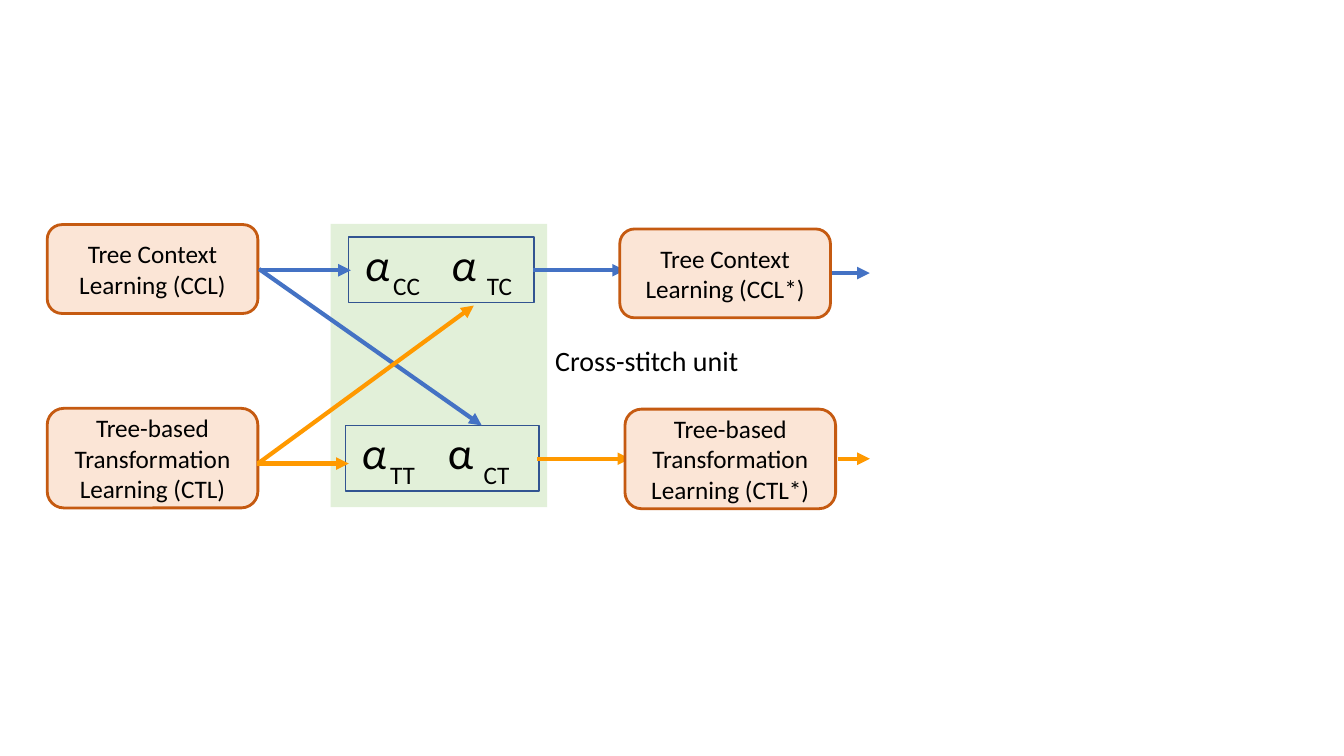
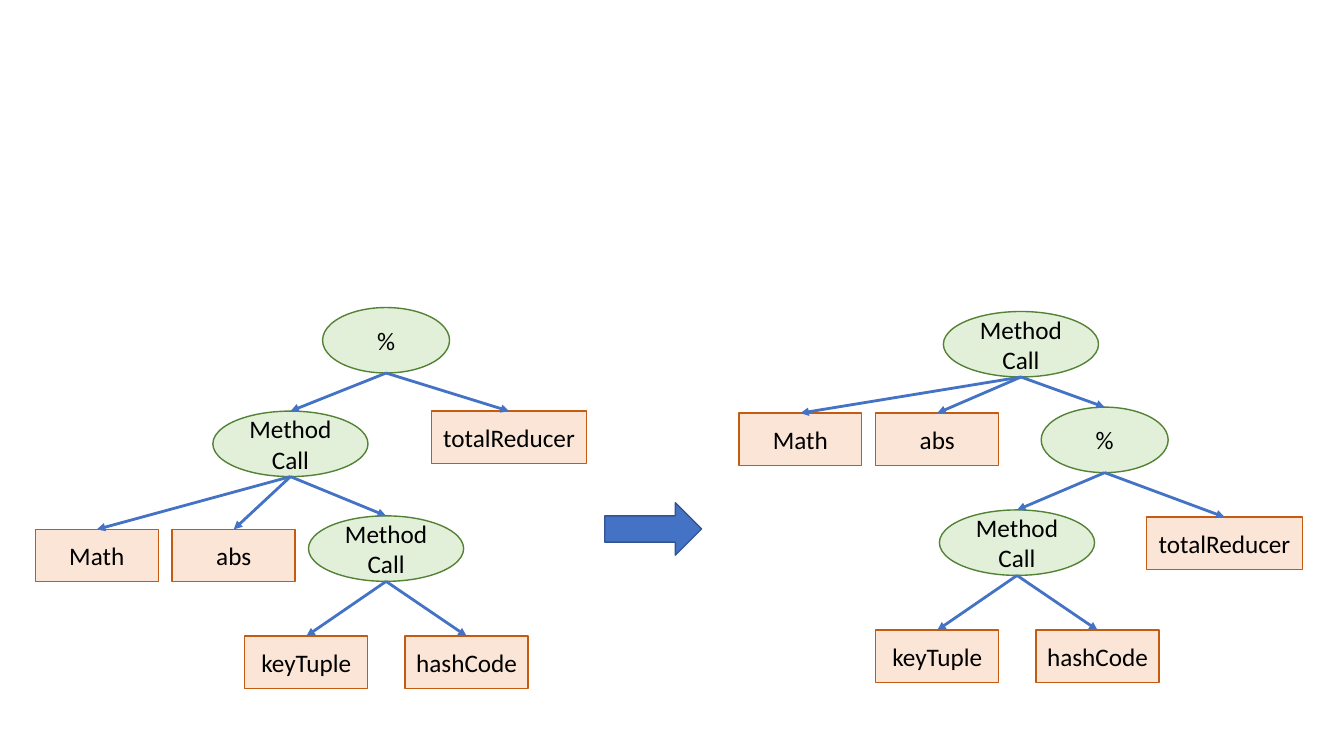
"""Build two slides: a cross-stitch unit and a syntax tree transformation."""
from lxml import etree
from pptx import Presentation
from pptx.dml.color import RGBColor
from pptx.enum import shapes, text
from pptx.oxml.ns import qn
from pptx.util import Cm, Pt

FONT = "Calibri"
COLORS = {"ink": "000000", "peach": "FBE5D6", "rust": "C55A11", "mint": "E2F0D9",
          "green": "548235", "blue": "4472C4", "navy": "325491", "orange": "FF9900"}
SHAPE = shapes.MSO_SHAPE

INPUTS = [("Tree Context Learning (CCL)", 1.19, 5.66, 2.24),
          ("Tree-based Transformation Learning (CTL)", 1.19, 10.29, 2.51)]
OUTPUTS = [("Tree Context Learning (CCL*)", 15.62, 5.77, 2.24),
           ("Tree-based Transformation Learning (CTL*)", 15.75, 10.31, 2.51)]
TASK_WIDTH = 5.31
UNIT = (8.33, 5.64, 5.46, 7.14)
WEIGHT_ROWS = [((8.79, 5.97, 4.67, 1.65), ("CC", "TC"), (True, True)),
               ((8.71, 10.72, 4.88, 1.65), ("TT", "CT"), (True, False))]
SUBSCRIPT_OFFSETS = (0.87, 3.23)
FLOWS = [("blue", 6.53, 6.81, 8.84, 6.81), ("blue", 6.53, 6.78, 12.14, 10.72),
         ("orange", 6.48, 11.68, 8.79, 11.68), ("orange", 6.5, 11.68, 11.94, 7.7),
         ("blue", 13.44, 6.81, 15.75, 6.81), ("orange", 13.54, 11.56, 15.88, 11.56),
         ("blue", 20.93, 6.88, 21.92, 6.88), ("orange", 21.11, 11.56, 21.92, 11.56)]

NODE_STYLES = {"operator": (SHAPE.OVAL, 3.2, 1.65, "mint", "green"),
               "call": (SHAPE.OVAL, 3.91, 1.65, "mint", "green"),
               "leaf": (SHAPE.RECTANGLE, 3.1, 1.32, "peach", "rust"),
               "wide leaf": (SHAPE.RECTANGLE, 3.92, 1.32, "peach", "rust")}
# Each node: style, label, centre x, top, index of parent
TREES = [
    [("operator", "%", 9.73, 7.75, None),
     ("call", "Method Call", 7.32, 10.36, 0),
     ("call", "Method Call", 9.73, 13, 1),
     ("leaf", "Math", 2.44, 13.34, 1),
     ("leaf", "abs", 5.89, 13.34, 1),
     ("leaf", "keyTuple", 7.72, 16.03, 2),
     ("leaf", "hashCode", 11.76, 16.03, 2),
     ("wide leaf", "totalReducer", 12.83, 10.36, 0)],
    [("call", "Method Call", 25.73, 7.85, None),
     ("operator", "%", 27.84, 10.26, 0),
     ("call", "Method Call", 25.63, 12.85, 1),
     ("leaf", "Math", 20.17, 10.41, 0),
     ("leaf", "abs", 23.62, 10.41, 0),
     ("leaf", "keyTuple", 23.62, 15.88, 2),
     ("leaf", "hashCode", 27.66, 15.88, 2),
     ("wide leaf", "totalReducer", 30.86, 13.03, 1)],
]


def rgb(name):
    return RGBColor.from_string(COLORS[name])


def style_font(p, size):
    p.font.name, p.font.size = FONT, Pt(size)
    p.font.color.rgb = rgb("ink")


def add_box(s, kind, box, fill=None, line=None, weight=1, label=None):
    sp = s.shapes.add_shape(kind, *map(Cm, box))
    sp.shadow.inherit = False
    if fill:
        sp.fill.solid()
        sp.fill.fore_color.rgb = rgb(fill)
    else:
        sp.fill.background()
    if line:
        sp.line.color.rgb, sp.line.width = rgb(line), Pt(weight)
    else:
        sp.line.fill.background()
    if label:
        tf = sp.text_frame
        tf.word_wrap = True
        tf.vertical_anchor = text.MSO_ANCHOR.MIDDLE
        p = tf.paragraphs[0]
        p.text, p.alignment = label, text.PP_ALIGN.CENTER
        style_font(p, 18)
    return sp


def add_label(s, box, size, label="", wrap=False):
    tf = s.shapes.add_textbox(*map(Cm, box)).text_frame
    tf.word_wrap = wrap
    p = tf.paragraphs[0]
    p.text = label
    style_font(p, size)
    return p


def add_arrow(s, color, x1, y1, x2, y2, weight):
    c = s.shapes.add_connector(shapes.MSO_CONNECTOR.STRAIGHT, *map(Cm, (x1, y1, x2, y2)))
    c.line.color.rgb, c.line.width = rgb(color), Pt(weight)
    etree.SubElement(c.line._get_or_add_ln(), qn("a:tailEnd"), type="triangle")
    etree.SubElement(c._element.spPr, qn("a:effectLst"))


def add_tasks(s, tasks):
    for label, x, y, height in tasks:
        add_box(s, SHAPE.ROUNDED_RECTANGLE, (x, y, TASK_WIDTH, height),
                "peach", "rust", 2, label)


def add_weights(s, frame, subscripts, italics):
    x, y = frame[:2]
    p = add_label(s, (x + 0.15, y - 0.14, 3.95, 1.63), 32, wrap=True)
    for label, italic in zip(("α", "\tα"), italics):
        r = p.add_run()
        r.text, r.font.italic = label, italic
    tabs = etree.Element(qn("a:tabLst"))
    etree.SubElement(tabs, qn("a:tab"), pos=str(Cm(2.18)), algn="l")
    p._p.get_or_add_pPr().insert(0, tabs)
    for label, dx in zip(subscripts, SUBSCRIPT_OFFSETS):
        add_label(s, (x + dx, y + 0.72, 1.19, 1.02), 18, label)
    add_box(s, SHAPE.RECTANGLE, frame, line="navy")


def add_tree(s, nodes):
    for style, label, center, top, parent in nodes:
        kind, width, height, fill, line = NODE_STYLES[style]
        add_box(s, kind, (center - width / 2, top, width, height), fill, line, 1, label)
    for style, label, center, top, parent in nodes:
        if parent is not None:
            above, _, start, start_top, _ = nodes[parent]
            add_arrow(s, "blue", start, start_top + NODE_STYLES[above][2], center, top, 2)


prs = Presentation()
prs.slide_width, prs.slide_height = Cm(33.87), Cm(19.05)
stitch, trees = (prs.slides.add_slide(prs.slide_layouts[6]) for _ in range(2))

add_tasks(stitch, INPUTS)
add_box(stitch, SHAPE.RECTANGLE, UNIT, "mint")
for row in WEIGHT_ROWS:
    add_weights(stitch, *row)
for flow in FLOWS:
    add_arrow(stitch, *flow, 3)
add_tasks(stitch, OUTPUTS)
add_label(stitch, (13.74, 8.53, 5.18, 1.12), 20, "Cross-stitch unit")

for nodes in TREES:
    add_tree(trees, nodes)
add_box(trees, SHAPE.RIGHT_ARROW, (15.24, 12.67, 2.44, 1.32), "blue", "navy")

prs.save("out.pptx")
